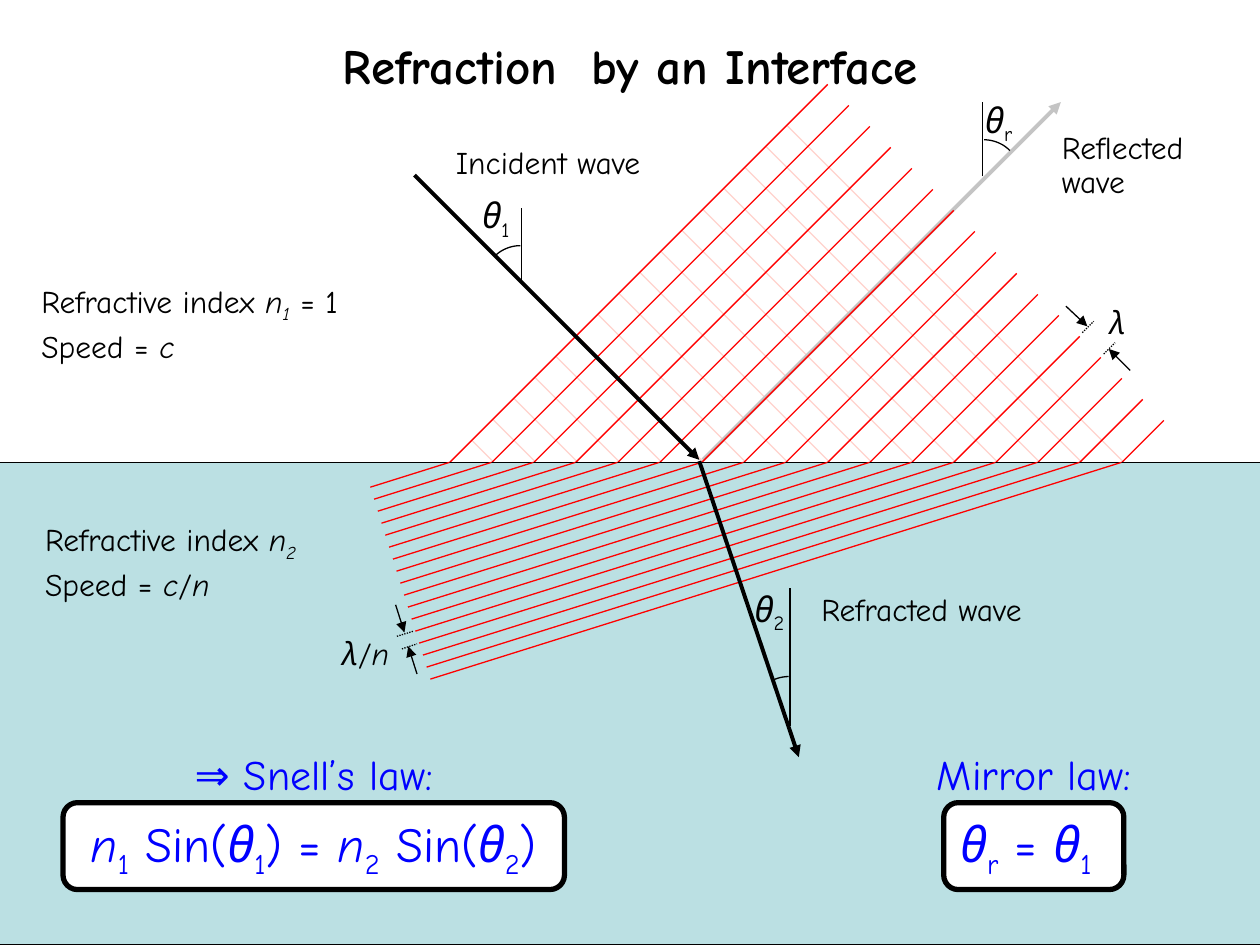
import math
from dataclasses import dataclass, field
from typing import NamedTuple

from lxml import etree
from pptx import Presentation
from pptx import util as u
from pptx.dml.color import RGBColor
from pptx.enum import dml, shapes, text
from pptx.oxml import ns

BLACK = RGBColor(0x00, 0x00, 0x00)
WHITE = RGBColor(0xFF, 0xFF, 0xFF)
RED = RGBColor(0xFF, 0x00, 0x00)
PINK = RGBColor(0xFF, 0xD2, 0xCD)
GREY = RGBColor(0xC4, 0xC4, 0xC4)
BLUE = RGBColor(0x00, 0x00, 0xFF)
WATER = RGBColor(0xBB, 0xE0, 0xE3)
FONT = "Comic Neue"
SURFACE = 3.67
STEP = 1 / 6


class Span(NamedTuple):
    text: str
    italic: bool = False
    sub: bool = False


@dataclass
class Ray:
    start: tuple[float, float]
    end: tuple[float, float]
    color: RGBColor = BLACK
    width: float = 0.75
    arrow: bool = False
    dotted: bool = False


@dataclass
class Label:
    place: tuple[float, float, float, float]
    lines: list[list[Span]]
    size: float = 18
    color: RGBColor = BLACK
    bold: bool = False
    spacing: float = 1.0
    frame: dict = field(default_factory=dict)
    align: text.PP_ALIGN = text.PP_ALIGN.LEFT


@dataclass
class Angle:
    center: tuple[float, float]
    radius: float
    first: float
    last: float


GROW = {"word_wrap": False, "auto_size": text.MSO_AUTO_SIZE.SHAPE_TO_FIT_TEXT}
CENTER = text.PP_ALIGN.CENTER


def length(inches: float) -> u.Length:
    return u.Cm(inches * 2.54)


def set_format(target, values: dict) -> None:
    for name, value in values.items():
        setattr(target, name, value)


def draw_ray(page, ray: Ray) -> None:
    line = page.shapes.add_connector(
        shapes.MSO_CONNECTOR.STRAIGHT, *map(length, (*ray.start, *ray.end)))
    line.line.color.rgb = ray.color
    line.line.width = u.Pt(ray.width)
    if ray.dotted:
        line.line.dash_style = dml.MSO_LINE.ROUND_DOT
    properties = line._element.spPr
    if ray.arrow:
        etree.SubElement(properties.find(ns.qn("a:ln")), ns.qn("a:tailEnd"), type="triangle")
    etree.SubElement(properties, ns.qn("a:effectLst"))


def draw_angle(page, angle: Angle) -> None:
    points = []
    for part in range(13):
        turn = math.radians(angle.first + (angle.last - angle.first) * part / 12)
        points.append((length(angle.center[0] + angle.radius * math.sin(turn)),
                       length(angle.center[1] - angle.radius * math.cos(turn))))
    builder = page.shapes.build_freeform(*points[0])
    builder.add_line_segments(points[1:], close=False)
    arc = builder.convert_to_shape()
    arc.shadow.inherit = False
    arc.fill.background()
    arc.line.color.rgb = BLACK
    arc.line.width = u.Pt(0.75)


def draw_block(page, kind, place, fill: RGBColor, border: float = 0, rotation: float = 0):
    block = page.shapes.add_shape(kind, *map(length, place))
    block.shadow.inherit = False
    block.rotation = rotation
    block.fill.solid()
    block.fill.fore_color.rgb = fill
    if border:
        block.line.color.rgb = BLACK
        block.line.width = u.Pt(border)
    else:
        block.line.fill.background()
    return block


def write(box, label: Label) -> None:
    frame = box.text_frame
    set_format(frame, {"word_wrap": True, "vertical_anchor": text.MSO_ANCHOR.TOP} | label.frame)
    for number, spans in enumerate(label.lines):
        para = frame.add_paragraph() if number else frame.paragraphs[0]
        set_format(para, {"alignment": label.align, "line_spacing": label.spacing})
        if number:
            para.space_before = u.Pt(6)
        for item in spans:
            span = para.add_run()
            span.text = item.text
            set_format(span.font, {"name": FONT, "size": u.Pt(label.size),
                                   "bold": label.bold, "italic": item.italic})
            span.font.color.rgb = label.color
            if item.sub:
                span._r.get_or_add_rPr().set("baseline", "-25000")


def draw_label(page, label: Label) -> None:
    write(page.shapes.add_textbox(*map(length, label.place)), label)


def draw_law(page, heading: Label, formula: Label) -> None:
    box = draw_block(page, shapes.MSO_SHAPE.ROUNDED_RECTANGLE, formula.place, WHITE, 3)
    write(box, formula)
    draw_label(page, heading)


def theta(index: str) -> list[Span]:
    return [Span("θ", True), Span(index, sub=True)]


def symbol(place, spans: list[Span], size: float = 20) -> Label:
    return Label(place, [spans], size, frame=GROW)


def caption(place, *lines: list[Span]) -> Label:
    return Label(place, list(lines), spacing=0.9)


def law_text(place, spans: list[Span], size: float, align=CENTER) -> Label:
    return Label(place, [spans], size, BLUE, frame=GROW, align=align)


def main() -> None:
    deck = Presentation()
    set_format(deck, {"slide_width": u.Cm(25.4), "slide_height": u.Cm(19.05)})
    page = deck.slides.add_slide(deck.slide_layouts[6])

    for i in range(16):
        x, y = 9.25 - i * STEP, 4 + i * STEP
        draw_ray(page, Ray((x, y), (x - 3, y - 3), PINK))
    draw_ray(page, Ray((5.58, 3.65), (8.42, 0.81), GREY, 2.25, arrow=True))
    for i in range(17):
        x, y = 3.57 + i * STEP, SURFACE + i * STEP
        draw_ray(page, Ray((x, y), (x + 3, y - 3), RED))

    rectangle = shapes.MSO_SHAPE.RECTANGLE
    draw_block(page, rectangle, (-0.25, SURFACE, 10.43, 3.83), WATER, 0.75)
    for i in range(17):
        x = 8.9 - i * 2 * STEP
        draw_ray(page, Ray((x, SURFACE), (x - 5.58, 5.42), RED))
    draw_block(page, rectangle, (-0.22, 4.19, 3.54, 2.33), WATER, rotation=342.6)

    for ray in (
        Ray((3.29, 1.39), (5.55, 3.65), width=2.25, arrow=True),
        Ray((5.55, 3.66), (6.34, 6.01), width=2.25, arrow=True),
        Ray((7.8, 1.4), (7.8, 0.81)),
        Ray((4.14, 2.23), (4.14, 1.65)),
        Ray((6.27, 5.76), (6.27, 4.67)),
        Ray((8.46, 2.43), (8.63, 2.59), arrow=True),
        Ray((8.97, 2.94), (8.8, 2.77), arrow=True),
        Ray((8.59, 2.64), (8.68, 2.55), dotted=True),
        Ray((8.76, 2.81), (8.85, 2.72), dotted=True),
        Ray((3.14, 4.8), (3.21, 5.02), arrow=True),
        Ray((3.31, 5.35), (3.24, 5.13), arrow=True),
        Ray((3.15, 5.05), (3.28, 5.01), dotted=True),
        Ray((3.19, 5.15), (3.31, 5.11), dotted=True),
    ):
        draw_ray(page, ray)
    for angle in (Angle((7.81, 1.4), 0.29, 0, 45), Angle((4.13, 2.24), 0.29, -45, 0),
                  Angle((6.26, 5.66), 0.29, -24, 0)):
        draw_angle(page, angle)

    for label in (
        Label((0.75, 0.18, 8.5, 0.67), [[Span("Refraction  by an Interface")]], 28, bold=True,
              frame={"vertical_anchor": text.MSO_ANCHOR.MIDDLE}, align=CENTER),
        caption((0.23, 2.19, 3, 0.97),
                [Span("Refractive index "), Span("n", True), Span("1", True, True), Span(" = 1")],
                [Span("Speed = "), Span("c", True)]),
        caption((0.26, 4.08, 2.5, 0.99),
                [Span("Refractive index "), Span("n", True), Span("2", True, True)],
                [Span("Speed = "), Span("c", True), Span("/"), Span("n", True)]),
        caption((3.52, 1.12, 2, 0.38), [Span("Incident wave")]),
        caption((8.33, 1, 1.5, 0.67), [Span("Reflected wave")]),
        caption((6.42, 4.67, 2.61, 0.39), [Span("Refracted wave")]),
        symbol((7.72, 0.73, 0.45, 0.43), theta("r")),
        symbol((3.73, 1.49, 0.45, 0.43), theta("1")),
        symbol((5.89, 4.61, 0.47, 0.43), theta("2")),
        symbol((8.71, 2.36, 0.34, 0.4), [Span("λ", True)], 18),
        symbol((2.62, 4.98, 0.6, 0.42), [Span("λ", True), Span("/"), Span("n", True)], 18),
    ):
        draw_label(page, label)

    snell = [Span("n", True), Span("1", sub=True), Span(" Sin("), *theta("1"), Span(") = "),
             Span("n", True), Span("2", sub=True), Span(" Sin("), *theta("2"), Span(")")]
    draw_law(page, law_text((1.29, 5.89, 2.4, 0.52), [Span("⇒ Snell’s law:")], 24),
             law_text((0.5, 6.37, 3.98, 0.69), snell, 28))
    draw_law(page, law_text((7.25, 5.89, 1.91, 0.52), [Span("Mirror law:")], 24),
             law_text((7.49, 6.37, 1.43, 0.69), [*theta("r"), Span(" = "), *theta("1")], 28,
                      text.PP_ALIGN.LEFT))
    deck.save("out.pptx")


if __name__ == "__main__":
    main()
